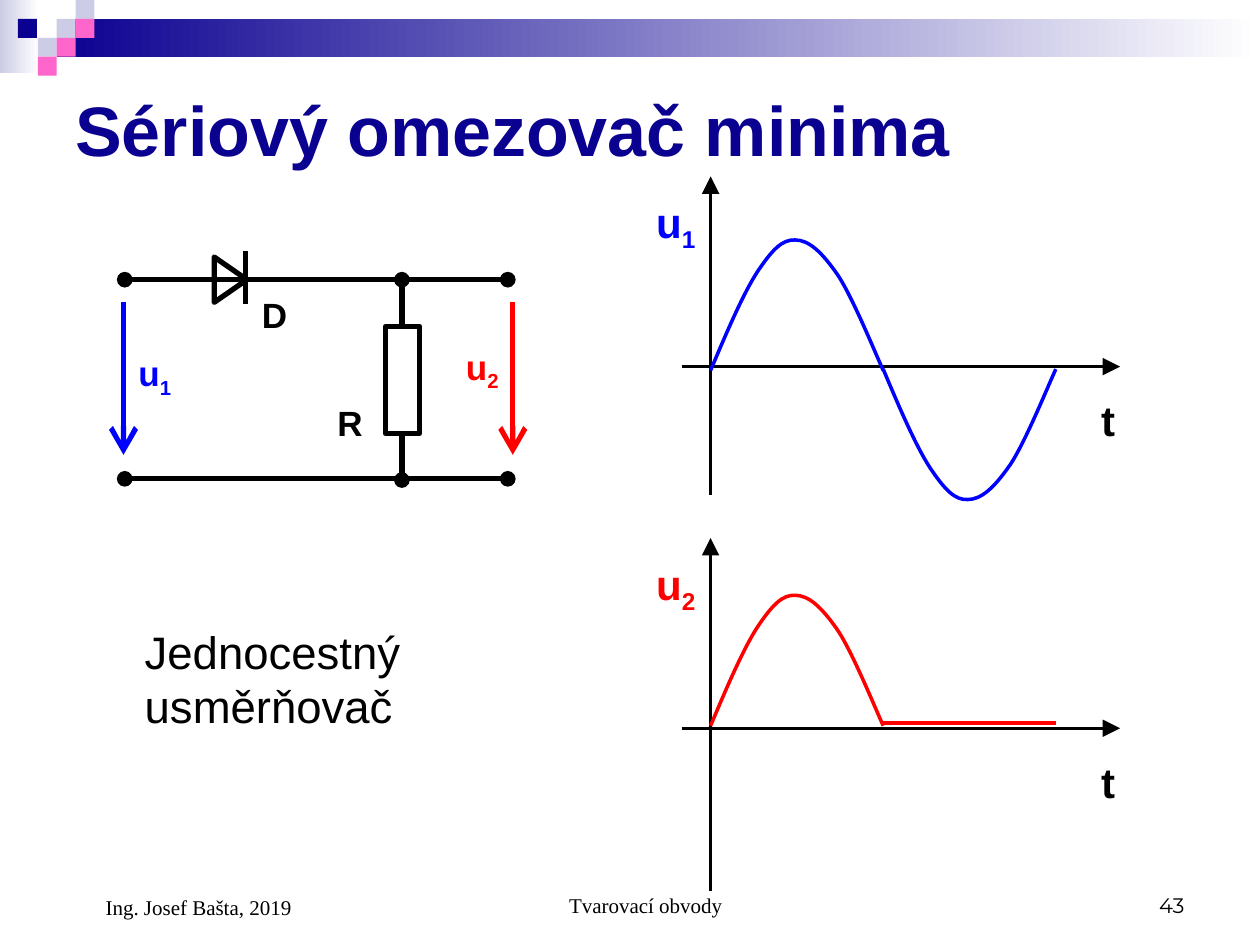
from lxml import etree
from pptx import Presentation
from pptx.dml.color import RGBColor
from pptx.enum.shapes import MSO_CONNECTOR, MSO_SHAPE
from pptx.enum.text import MSO_ANCHOR, PP_ALIGN
from pptx.oxml.ns import qn
from pptx.util import Inches, Pt

STRAIGHT = MSO_CONNECTOR.STRAIGHT
RECT, TRIANGLE = MSO_SHAPE.RECTANGLE, MSO_SHAPE.ISOSCELES_TRIANGLE
TOP, MIDDLE, BOTTOM = MSO_ANCHOR.TOP, MSO_ANCHOR.MIDDLE, MSO_ANCHOR.BOTTOM
LEFT, CENTER, RIGHT = PP_ALIGN.LEFT, PP_ALIGN.CENTER, PP_ALIGN.RIGHT

COLORS = {
    "navy": "0B0191", "lavender": "CCCCE6", "pink": "FF66CC", "white": "FFFFFF",
    "black": "000000", "blue": "0000FF", "red": "FF0000",
}
SERIF = "Times New Roman"
COLUMNS, ROWS = 100, 75
HALF_WAVE = [
    (0, 0), (1.3, 3.1), (2.6, 6.1), (3.7, 7.8), (4.9, 9.6), (5.7, 10.4), (6.7, 10.35),
    (7.8, 10.35), (8.8, 9.4), (10, 7.7), (11.2, 6), (13.1, 1.3), (13.7, 0),
]


def rgb(name):
    return RGBColor.from_string(COLORS[name])


def round_off(curve):
    segments = list(curve._element.iter(qn("a:lnTo")))
    for first in range(0, len(segments), 3):
        bezier = etree.Element(qn("a:cubicBezTo"))
        segments[first].addprevious(bezier)
        for segment in segments[first:first + 3]:
            bezier.append(segment[0])
            segment.getparent().remove(segment)


class Sketch:
    """Draws styled elements on one slide, measured in grid columns and rows."""

    def __init__(self, prs, font="Arial"):
        self.font = font
        self.column = prs.slide_width / COLUMNS
        self.row = prs.slide_height / ROWS
        self.slide = prs.slides.add_slide(prs.slide_layouts[6])
        self.shapes = self.slide.shapes

    def place(self, *lengths):
        units = (self.column, self.row) * 2
        return [round(n * unit) for n, unit in zip(lengths, units)]

    def stroke(self, line, color, width):
        line.color.rgb = rgb(color)
        line.width = Pt(width)

    def box(self, at, fill=None, fade=None, outline=None, kind=RECT, rotation=0):
        shape = self.shapes.add_shape(kind, *self.place(*at))
        shape.shadow.inherit = False
        shape.rotation = rotation
        if fade:
            shape.fill.gradient()
            shape.fill.gradient_angle = 180
            for stop, color in zip(shape.fill.gradient_stops, ("white", fade)):
                stop.color.rgb = rgb(color)
        elif fill:
            shape.fill.solid()
            shape.fill.fore_color.rgb = rgb(fill)
        else:
            shape.fill.background()
        if outline:
            self.stroke(shape.line, outline, 3)
        else:
            shape.line.fill.background()

    def line(self, start, end, color="black", width=3, head=None, tail=None, size="lg"):
        connector = self.shapes.add_connector(STRAIGHT, *self.place(*start, *end))
        self.stroke(connector.line, color, width)
        outline = connector.line._get_or_add_ln()
        for tag, arrow in (("a:headEnd", head), ("a:tailEnd", tail)):
            if arrow:
                etree.SubElement(outline, qn(tag), type=arrow, w=size, len=size)
        etree.SubElement(connector._element.spPr, qn("a:effectLst"))

    def half_wave(self, left, base, color, direction=-1):
        points = [self.place(left + x, base + direction * y) for x, y in HALF_WAVE]
        builder = self.shapes.build_freeform(*points[0])
        builder.add_line_segments(points[1:], close=False)
        curve = builder.convert_to_shape()
        round_off(curve)
        curve.shadow.inherit = False
        curve.fill.background()
        self.stroke(curve.line, color, 2)

    def text(self, at, words, size, color="black", bold=False, sub=None, font=None,
             anchor=TOP, align=LEFT, indent=0):
        frame = self.shapes.add_textbox(*self.place(*at)).text_frame
        frame.word_wrap = True
        frame.vertical_anchor = anchor
        paragraph = frame.paragraphs[0]
        paragraph.alignment = align
        if indent:
            paragraph._p.get_or_add_pPr().set("marL", str(round(indent * self.column)))
        for part in filter(None, (words, sub)):
            run = paragraph.add_run()
            run.text = part
            run.font.name = font or self.font
            run.font.size = Pt(size)
            run.font.bold = bold
            run.font.color.rgb = rgb(color)
            if part is sub:
                run.font._element.set("baseline", "-25000")

    def axes(self, level, top, bottom, color, sub):
        self.line((54.1, level), (88.9, level), width=1.5, tail="triangle")
        self.line((56.4, bottom), (56.4, top), width=1.5, tail="triangle")
        self.text((51.1, top + 1.1, 5.6, 5.6), "u", 24, color, True, sub)
        self.text((86.4, level + 1.75, 5.6, 5), "t", 24, bold=True)


def draw_banner(sketch):
    sketch.box((0, 0, 3.1, 5.8), fade="lavender")
    sketch.box((4.5, 1.5, 95.5, 3), fade="navy")
    tiles = [(3, 1, "lavender"), (4, 0, "lavender"), (4, 1, "pink"), (2, 2, "lavender"),
             (0.95, 1, "navy"), (3, 2, "pink"), (2, 3, "pink")]
    for column, row, color in tiles:
        sketch.box((1.5 * column, 1.5 * row, 1.5, 1.5), color)


def draw_circuit(sketch):
    for rail in (22.2, 38):
        sketch.line((40.3, rail), (9.9, rail), head="oval", tail="oval", size="med")
    sketch.line((31.9, 38.1), (31.9, 22.2), head="oval", tail="oval", size="med")
    sketch.box((30.6, 25.9, 2.7, 8.5), "white", outline="black")
    sketch.box((16.5, 20.9, 3.6, 2.6), outline="black", kind=TRIANGLE, rotation=90)
    sketch.line((19.5, 24.1), (19.5, 19.9))
    for x, color in ((9.8, "blue"), (40.7, "red")):
        sketch.line((x, 24), (x, 36.1), color, tail="arrow")
    sketch.text((10, 27.4, 5.4, 4.8), "u", 20, "blue", True, "1")
    sketch.text((36, 26.9, 5.6, 4.8), "u", 20, "red", True, "2")
    sketch.text((25.8, 31.4, 4.6, 4.4), "R", 20, bold=True)
    sketch.text((19.8, 22.8, 4.6, 4.4), "D", 20, bold=True)


def draw_graphs(sketch):
    sketch.axes(29.1, 14, 39.3, "blue", "1")
    sketch.half_wave(56.4, 29.4, "blue")
    sketch.half_wave(70.1, 29.3, "blue", direction=1)
    sketch.axes(57.8, 42.7, 70.7, "red", "2")
    sketch.line((70.1, 57.4), (83.8, 57.4), "red", 2)
    sketch.half_wave(56.4, 57.6, "red")


def draw_footer(sketch):
    sketch.text((34.2, 68.3, 31.7, 5), "Tvarovací obvody", 12, font=SERIF,
                anchor=BOTTOM, align=CENTER, indent=2.4)
    sketch.text((71.7, 68.3, 23.3, 5), "43", 12, font="Montserrat",
                anchor=BOTTOM, align=RIGHT)
    sketch.text((5, 68.3, 23.3, 5.2), "Ing. Josef Bašta, 2019", 12, font=SERIF,
                anchor=BOTTOM, indent=2.4)


def main():
    prs = Presentation()
    prs.slide_width, prs.slide_height = Inches(10), Inches(7.5)
    sketch = Sketch(prs)
    draw_banner(sketch)
    sketch.text((5, 5.05, 90, 10.3), "Sériový omezovač minima", 40, "navy", True,
                anchor=MIDDLE)
    draw_graphs(sketch)
    sketch.text((10.5, 49, 38.2, 9.7), "Jednocestný usměrňovač", 26)
    draw_circuit(sketch)
    draw_footer(sketch)
    prs.save("out.pptx")


if __name__ == "__main__":
    main()
